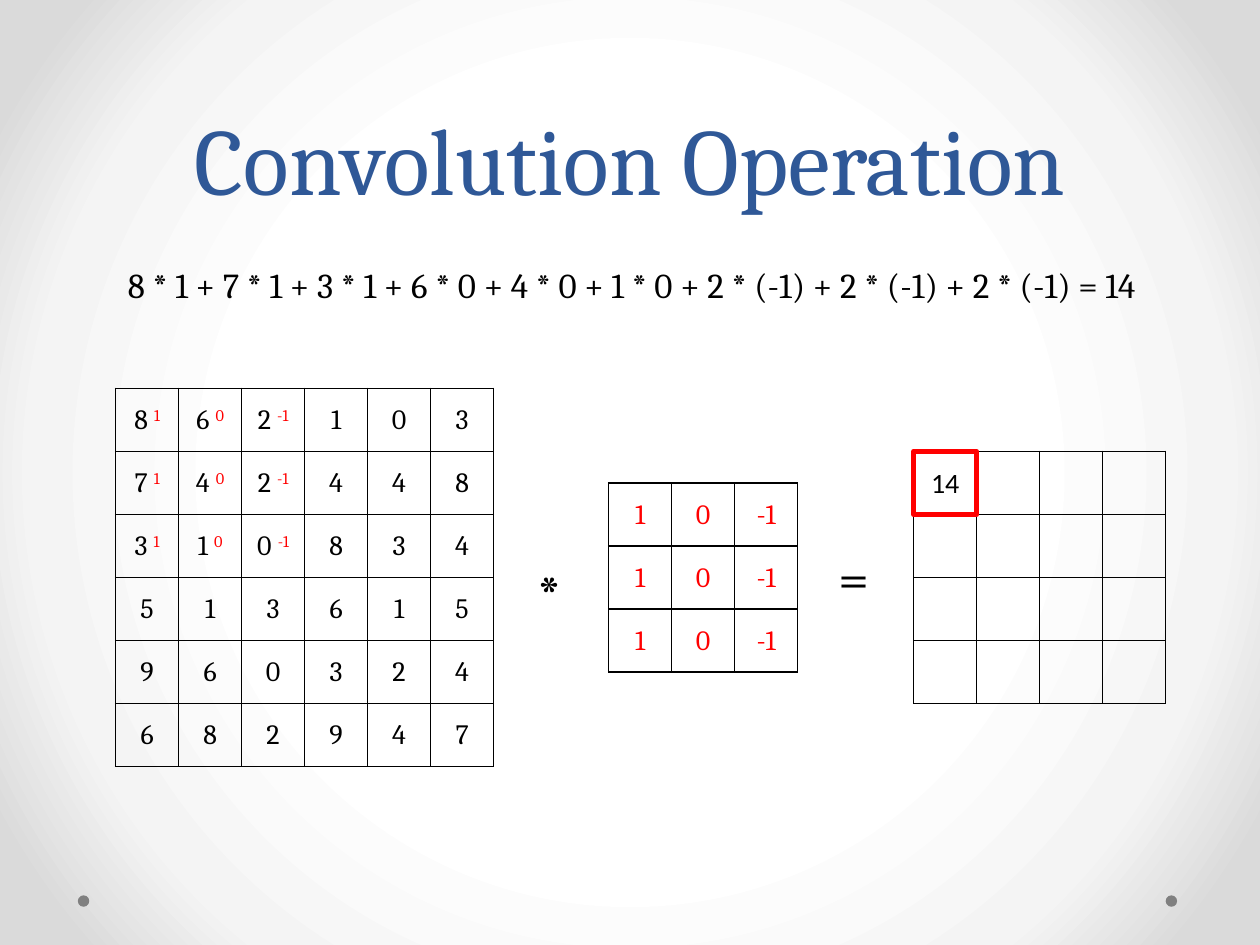
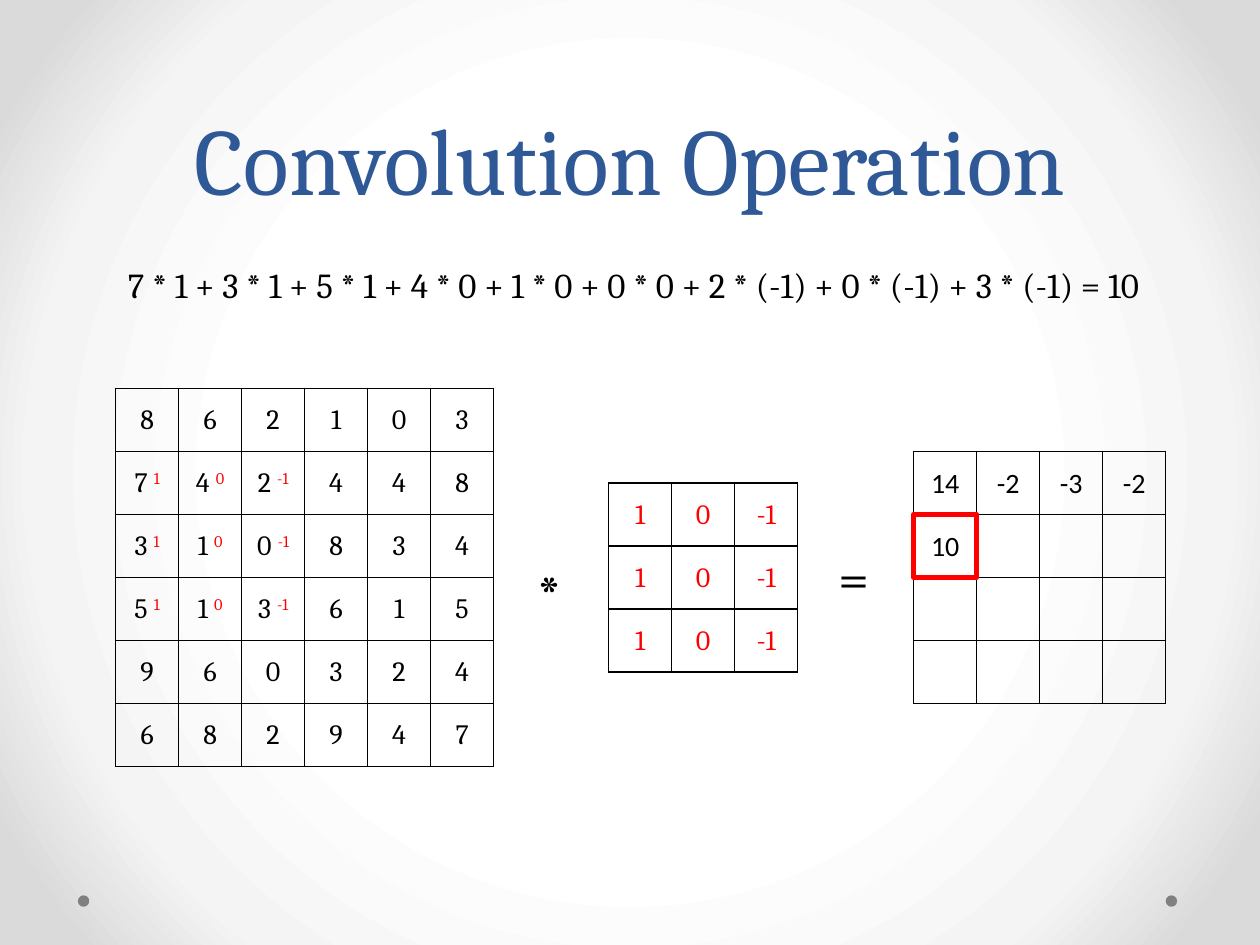
import dataclasses

import lxml.etree
import pptx
import pptx.dml.color
import pptx.enum.shapes
import pptx.enum.text
import pptx.oxml
import pptx.oxml.ns
import pptx.presentation
import pptx.slide
import pptx.util

Cm = pptx.util.Cm
ALIGN = pptx.enum.text.PP_ALIGN
ANCHOR = pptx.enum.text.MSO_ANCHOR
SHAPE = pptx.enum.shapes.MSO_SHAPE
AUTO_SIZE = pptx.enum.text.MSO_AUTO_SIZE

# Shared look
BLACK, RED, BLUE, GREY = "000000", "FF0000", "2F5897", "808080"
BACKGROUND_STOPS = ((50, "FFFFFF"), (76, "F4F4F4"), (92, "DADADA"))
SERIF, SANS = "Cambria", "Calibri"

# Grid geometry in cm: all grids share one cell size and one middle line
CELL = 1.27
MIDDLE = 11.64
INPUT_LEFT, KERNEL_LEFT, OUTPUT_LEFT = 2.33, 12.27, 18.42

INPUT = (
    (8, 6, 2, 1, 0, 3),
    (7, 4, 2, 4, 4, 8),
    (3, 1, 0, 8, 3, 4),
    (5, 1, 3, 6, 1, 5),
    (9, 6, 0, 3, 2, 4),
    (6, 8, 2, 9, 4, 7),
)
KERNEL = ((1, 0, -1),) * 3
OUTPUT_SIZE = len(INPUT) - len(KERNEL) + 1


@dataclasses.dataclass(frozen=True)
class Step:
    """One position of the kernel on the input."""
    row: int
    col: int
    equation: str


@dataclasses.dataclass(frozen=True)
class Label:
    text: str
    left: float
    top: float
    width: float
    height: float
    size: int


@dataclasses.dataclass(frozen=True)
class Grid:
    left: float
    rows: list[list[str]]
    color: str = BLACK
    font: str = SERIF
    weights: dict[tuple[int, int], str] = dataclasses.field(default_factory=dict)

    @property
    def top(self) -> float:
        return MIDDLE - len(self.rows) * CELL / 2


STEPS = (
    Step(0, 0, "8 * 1 + 7 * 1 + 3 * 1 + 6 * 0 + 4 * 0 + 1 * 0 + 2 * (-1) + 2 * (-1) + 2 * (-1) = 14"),
    Step(1, 0, "7 * 1 + 3 * 1 + 5 * 1 + 4 * 0 + 1 * 0 + 0 * 0 + 2 * (-1) + 0 * (-1) + 3 * (-1) = 10"),
)
OPERATORS = (
    Label("*", 10.59, 11.13, 1.07, 1.63, 32),
    Label("=", 16.66, 10.82, 1.07, 1.63, 32),
)


def rgb(color: str) -> pptx.dml.color.RGBColor:
    return pptx.dml.color.RGBColor.from_string(color)


def add_text(p, text: str, *, size: int, color: str = BLACK, font: str = SERIF,
             align=ALIGN.LEFT, raised: bool = False) -> None:
    p.alignment = align
    r = p.add_run()
    r.text = text
    r.font.size = pptx.util.Pt(size)
    r.font.name = font
    r.font.color.rgb = rgb(color)
    if raised:
        r._r.get_or_add_rPr().set("baseline", "30000")


def add_box(slide: pptx.slide.Slide, left: float, top: float, width: float, height: float):
    tf = slide.shapes.add_textbox(Cm(left), Cm(top), Cm(width), Cm(height)).text_frame
    tf.word_wrap = True
    return tf


def add_label(slide: pptx.slide.Slide, label: Label) -> None:
    tf = add_box(slide, label.left, label.top, label.width, label.height)
    tf.auto_size = AUTO_SIZE.SHAPE_TO_FIT_TEXT
    add_text(tf.paragraphs[0], label.text, size=label.size)


def add_shape(slide: pptx.slide.Slide, kind, left: float, top: float, size: float):
    sp = slide.shapes.add_shape(kind, Cm(left), Cm(top), Cm(size), Cm(size))
    sp.shadow.inherit = False
    return sp


def set_background(slide: pptx.slide.Slide) -> None:
    slide.background.fill.solid()
    bg = slide.element.find(".//" + pptx.oxml.ns.qn("p:bgPr"))
    stops = "".join(f'<a:gs pos="{pos * 1000}"><a:srgbClr val="{color}"/></a:gs>'
                    for pos, color in BACKGROUND_STOPS)
    bg.replace(bg[0], pptx.oxml.parse_xml(
        f'<a:gradFill {pptx.oxml.ns.nsdecls("a")} rotWithShape="1"><a:gsLst>{stops}</a:gsLst>'
        '<a:path path="circle"><a:fillToRect l="50000" t="50000" r="50000" b="50000"/></a:path>'
        '</a:gradFill>'))


def set_borders(cell) -> None:
    tc_pr = cell._tc.get_or_add_tcPr()
    for i, side in enumerate(("lnL", "lnR", "lnT", "lnB")):
        tc_pr.insert(i, pptx.oxml.parse_xml(
            f'<a:{side} {pptx.oxml.ns.nsdecls("a")} w="12700"><a:solidFill>'
            f'<a:srgbClr val="{BLACK}"/></a:solidFill></a:{side}>'))


def add_grid(slide: pptx.slide.Slide, grid: Grid) -> None:
    n = len(grid.rows)
    table = slide.shapes.add_table(n, n, Cm(grid.left), Cm(grid.top),
                                   Cm(n * CELL), Cm(n * CELL)).table
    table.first_row = table.horz_banding = False
    for line in (*table.rows, *table.columns):
        if hasattr(line, "height"):
            line.height = Cm(CELL)
        else:
            line.width = Cm(CELL)
    for i, row in enumerate(grid.rows):
        for j, text in enumerate(row):
            cell = table.cell(i, j)
            cell.fill.background()
            set_borders(cell)
            cell.vertical_anchor = ANCHOR.MIDDLE
            cell.margin_left = cell.margin_right = cell.margin_top = Cm(0.03)
            cell.margin_bottom = 0
            if not text:
                continue
            p = cell.text_frame.paragraphs[0]
            weight = grid.weights.get((i, j))
            add_text(p, f"{text} " if weight else text, size=16, color=grid.color,
                     font=grid.font, align=ALIGN.CENTER)
            if weight:
                add_text(p, weight, size=16, color=RED, align=ALIGN.CENTER, raised=True)


def convolve(row: int, col: int) -> int:
    return sum(weight * INPUT[row + i][col + j]
               for i, line in enumerate(KERNEL) for j, weight in enumerate(line))


def as_text(rows) -> list[list[str]]:
    return [[str(value) for value in row] for row in rows]


def add_frame(slide: pptx.slide.Slide) -> None:
    """Background, corner dots and title."""
    set_background(slide)
    for left in (23.5, 1.57):
        dot = add_shape(slide, SHAPE.OVAL, left, 18.05, 0.23)
        dot.fill.solid()
        dot.fill.fore_color.rgb = rgb(GREY)
        dot.line.fill.background()
    tf = add_box(slide, 1.27, 0, 22.86, 4.45)
    tf.vertical_anchor = ANCHOR.BOTTOM
    p = tf.paragraphs[0]
    p.line_spacing = pptx.util.Pt(58)
    add_text(p, "Convolution Operation", size=54, color=BLUE, align=ALIGN.CENTER)


def add_step(prs: pptx.presentation.Presentation, step: Step) -> None:
    slide = prs.slides.add_slide(prs.slide_layouts[6])
    add_frame(slide)

    # Input with the kernel weights laid over it, kernel, results so far
    weights = {(step.row + i, step.col + j): str(weight)
               for i, line in enumerate(KERNEL) for j, weight in enumerate(line)}
    results = [[str(convolve(i, j)) if (i, j) <= (step.row, step.col) else ""
                for j in range(OUTPUT_SIZE)] for i in range(OUTPUT_SIZE)]
    output = Grid(OUTPUT_LEFT, results, font=SANS)
    add_grid(slide, Grid(INPUT_LEFT, as_text(INPUT), weights=weights))
    add_grid(slide, Grid(KERNEL_LEFT, as_text(KERNEL), color=RED))
    add_grid(slide, output)

    # Operators and equation
    for label in (*OPERATORS, Label(step.equation, INPUT_LEFT, 5.18, 21.8, 1.11, 20)):
        add_label(slide, label)

    # Marker on the current result
    marker = add_shape(slide, SHAPE.RECTANGLE, output.left + step.col * CELL,
                       output.top + step.row * CELL, CELL)
    marker.fill.background()
    marker.line.color.rgb = rgb(RED)
    marker.line.width = pptx.util.Pt(3)


def main() -> None:
    prs = pptx.Presentation()
    prs.slide_width, prs.slide_height = Cm(25.4), Cm(19.05)
    for step in STEPS:
        add_step(prs, step)
    prs.save("out.pptx")


if __name__ == "__main__":
    main()
